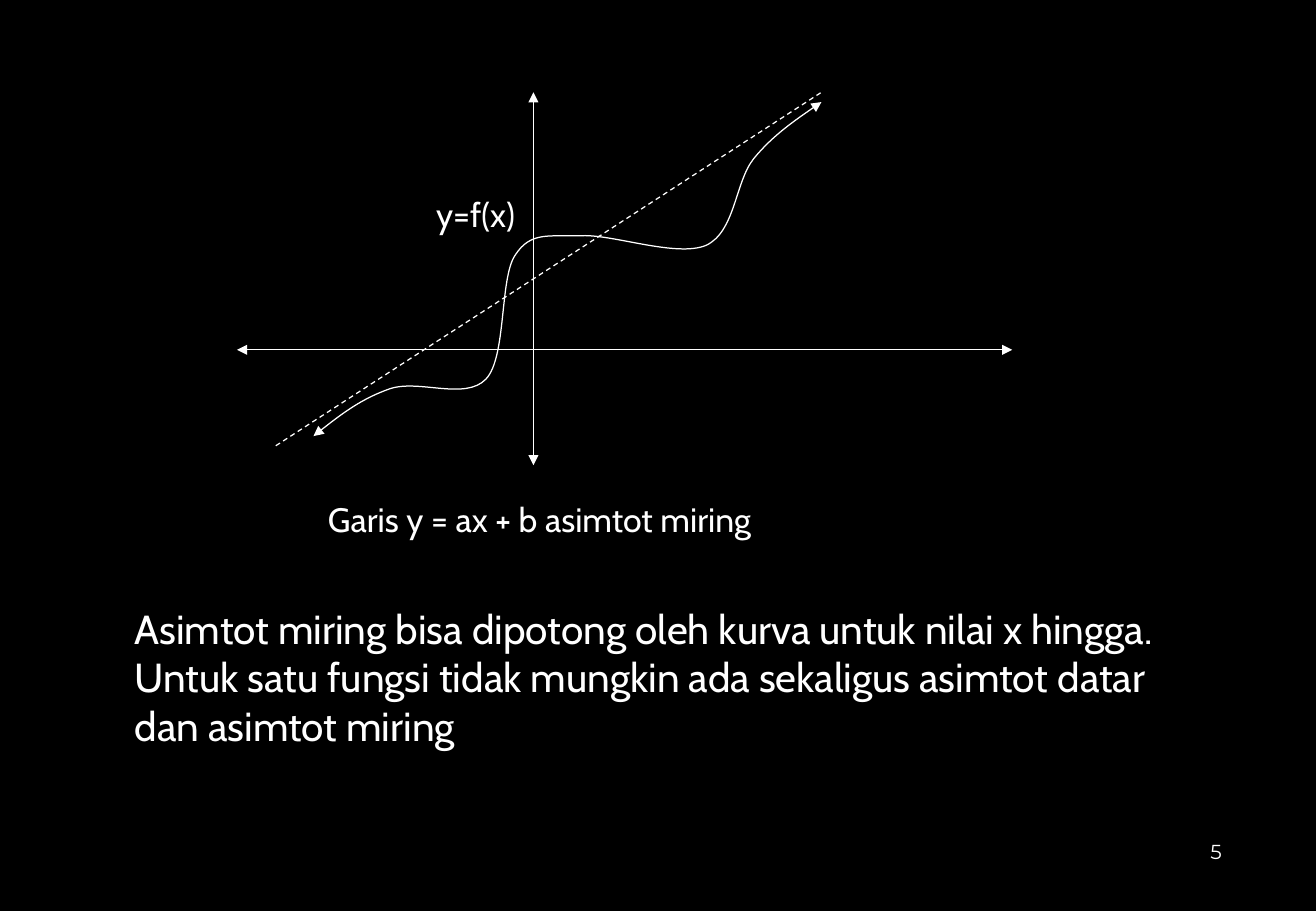
import pptx
import pptx.dml.color
import pptx.enum.dml
import pptx.enum.shapes
import pptx.enum.text
import pptx.oxml
import pptx.oxml.ns
import pptx.util

Inches = pptx.util.Inches
BLACK = pptx.dml.color.RGBColor(0x00, 0x00, 0x00)
WHITE = pptx.dml.color.RGBColor(0xFF, 0xFF, 0xFF)
DASH = pptx.enum.dml.MSO_LINE.DASH

# Start point, then two control points and an end point for each segment
CURVE = [
    (2.58, 3.59),
    (2.78, 3.43), (2.98, 3.28), (3.21, 3.20),
    (3.45, 3.12), (3.83, 3.30), (4.00, 3.12),
    (4.17, 2.94), (4.11, 2.29), (4.24, 2.10),
    (4.37, 1.90), (4.52, 1.95), (4.79, 1.94),
    (5.05, 1.93), (5.57, 2.12), (5.81, 2.02),
    (6.05, 1.91), (6.05, 1.50), (6.20, 1.31),
    (6.36, 1.11), (6.66, 0.91), (6.76, 0.84),
]


class SlideBuilder:
    def __init__(self, slide):
        self.slide = slide
        self.font = "Cabin"
        self.color = WHITE
        self.line_width = pptx.util.Pt(0.75)

    def background(self, color):
        fill = self.slide.background.fill
        fill.solid()
        fill.fore_color.rgb = color

    def stroke(self, sp, arrows):
        sp.line.color.rgb = self.color
        sp.line.width = self.line_width
        if arrows:
            ln = sp.line._get_or_add_ln()
            for end in ("a:headEnd", "a:tailEnd"):
                arrow = pptx.oxml.ns.qn(end)
                ln.append(ln.makeelement(arrow, {"type": "triangle"}))

    def line(self, start, end, dash=None, arrows=False):
        sp = self.slide.shapes.add_connector(
            pptx.enum.shapes.MSO_CONNECTOR.STRAIGHT,
            *(Inches(v) for v in start + end))
        if dash:
            sp.line.dash_style = dash
        self.stroke(sp, arrows)
        spPr = sp._element.spPr
        spPr.append(spPr.makeelement(pptx.oxml.ns.qn("a:effectLst"), {}))

    def curve(self, points):
        """Draw a Bezier path with an arrowhead at each end."""
        points = [(Inches(x), Inches(y)) for x, y in points]
        builder = self.slide.shapes.build_freeform(*points[0])
        builder.add_line_segments(points[1:], close=False)
        sp = builder.convert_to_shape()
        sp.shadow.inherit = False
        sp.fill.background()
        self.stroke(sp, arrows=True)
        # Merge every three straight segments into one cubic segment
        segments = sp._element.xpath(".//a:lnTo")
        for i in range(0, len(segments), 3):
            cubic = segments[i].makeelement(pptx.oxml.ns.qn("a:cubicBezTo"), {})
            segments[i].addprevious(cubic)
            for segment in segments[i:i + 3]:
                cubic.append(segment[0])
                segment.getparent().remove(segment)

    def text(self, text, left, top, width, height, size, wrap=False):
        sp = self.slide.shapes.add_textbox(
            Inches(left), Inches(top), Inches(width), Inches(height))
        tf = sp.text_frame
        tf.word_wrap = wrap
        tf.auto_size = pptx.enum.text.MSO_AUTO_SIZE.SHAPE_TO_FIT_TEXT
        tf.text = text
        for p in tf.paragraphs:
            for r in p.runs:
                r.font.name = self.font
                r.font.size = pptx.util.Pt(size)
                r.font.color.rgb = self.color
        return tf

    def page_number(self, number):
        tf = self.text(number, 9.96, 6.76, 0.72, 0.5, 12, wrap=True)
        tf.auto_size = pptx.enum.text.MSO_AUTO_SIZE.NONE
        tf.vertical_anchor = pptx.enum.text.MSO_ANCHOR.MIDDLE
        tf.margin_left = tf.margin_right = tf.margin_top = tf.margin_bottom = 0
        tf.paragraphs[0].runs[0].font.name = "Montserrat"


def main():
    prs = pptx.Presentation()
    prs.slide_width = Inches(10.83)
    prs.slide_height = Inches(7.5)
    s = SlideBuilder(prs.slides.add_slide(prs.slide_layouts[6]))

    s.background(BLACK)
    s.page_number("5")
    s.line((4.39, 0.76), (4.39, 3.83), arrows=True)
    s.line((1.95, 2.88), (8.33, 2.88), arrows=True)
    s.line((2.27, 3.67), (6.76, 0.76), dash=DASH)
    s.curve(CURVE)
    s.text("y=f(x)", 3.49, 1.55, 0.99, 0.44, 20)
    s.text("Garis y = ax + b asimtot miring", 2.6, 4.06, 4.12, 0.44, 20)
    s.text("Asimtot miring bisa dipotong oleh kurva untuk nilai x hingga.\n"
           "Untuk satu fungsi tidak mungkin ada sekaligus asimtot datar\n"
           "dan asimtot miring", 1.01, 4.92, 9.3, 1.31, 24, wrap=True)

    prs.save("out.pptx")


if __name__ == "__main__":
    main()
